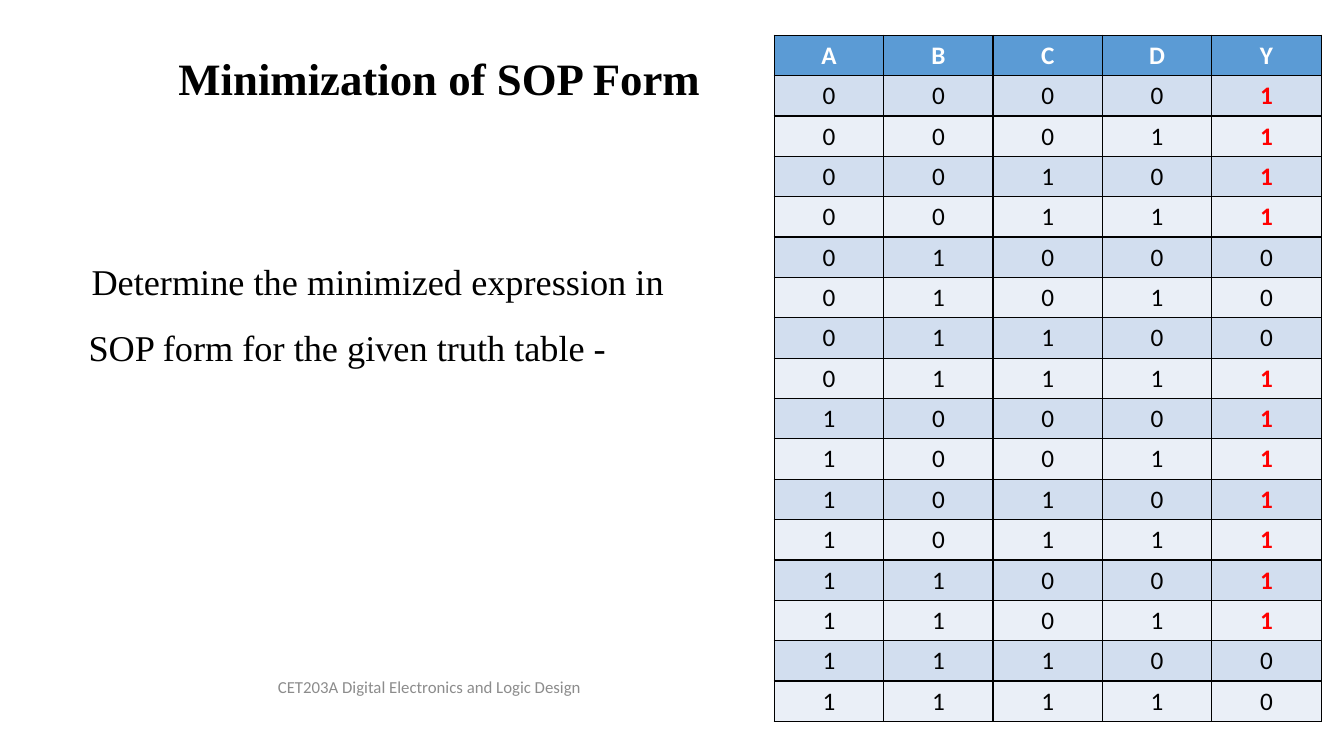
from lxml.etree import SubElement
from pptx import Presentation
from pptx.dml.color import RGBColor
from pptx.enum.text import MSO_ANCHOR, PP_ALIGN
from pptx.oxml.ns import qn
from pptx.util import Inches, Pt

TITLE = "Minimization of SOP Form"
QUESTION = "Determine the minimized expression in SOP form for the given truth table -"
FOOTER = "CET203A Digital Electronics and Logic Design"
VARIABLES = ["A", "B", "C", "D"]
OUTPUTS = "1111000111111100"

COLORS = {
    "black": "000000",
    "gray": "8C8C8C",
    "white": "FFFFFF",
    "red": "FF0000",
    "header": "5B9BD5",
    "odd_row": "D2DEEF",
    "even_row": "EAEFF7",
}
HEADING = {"size": Pt(32), "name": "Times New Roman", "bold": True}
BODY = {"size": Pt(25.9), "name": "Times New Roman", "bold": False}
SMALL = {"size": Pt(12), "name": "Calibri", "bold": False}
CELL = {"size": Pt(18), "name": "Calibri", "bold": False}

TABLE_LEFT, TABLE_TOP = 7.68, 0.35
COLUMN_WIDTH, ROW_HEIGHT = 1.085, 0.4


def color(name):
    return RGBColor.from_string(COLORS[name])


def set_attributes(target, values):
    for name, value in values.items():
        setattr(target, name, value)


def write(frame, text, font, color_name, paragraph_format):
    frame.text = text
    paragraph = frame.paragraphs[0]
    set_attributes(paragraph, paragraph_format)
    set_attributes(paragraph.font, font)
    paragraph.font.color.rgb = color(color_name)
    return paragraph


def place(shape, left, top, width, height, anchor):
    box = {"left": left, "top": top, "width": width, "height": height}
    set_attributes(shape, {name: Inches(value) for name, value in box.items()})
    set_attributes(shape.text_frame, {"word_wrap": True, "vertical_anchor": anchor})
    return shape.text_frame


def add_borders(cell):
    properties = cell._tc.get_or_add_tcPr()
    for position, side in enumerate(("a:lnL", "a:lnR", "a:lnT", "a:lnB")):
        line = properties.makeelement(qn(side), {"w": str(Pt(1))})
        fill = SubElement(line, qn("a:solidFill"))
        SubElement(fill, qn("a:srgbClr"), val=COLORS["black"])
        properties.insert(position, line)


def add_truth_table(slide):
    rows = [VARIABLES + ["Y"]]
    for number, output in enumerate(OUTPUTS):
        rows.append([*format(number, f"0{len(VARIABLES)}b"), output])
    column_count = len(rows[0])
    table = slide.shapes.add_table(
        len(rows), column_count,
        Inches(TABLE_LEFT), Inches(TABLE_TOP),
        Inches(COLUMN_WIDTH * column_count), Inches(ROW_HEIGHT * len(rows)),
    ).table
    for row_index, values in enumerate(rows):
        is_header = row_index == 0
        fill = "header" if is_header else "odd_row" if row_index % 2 else "even_row"
        for column_index, value in enumerate(values):
            is_true_output = column_index == column_count - 1 and value == "1"
            text_color = "white" if is_header else "red" if is_true_output else "black"
            cell = table.cell(row_index, column_index)
            cell.fill.solid()
            cell.fill.fore_color.rgb = color(fill)
            cell.margin_left = cell.margin_right = Inches(0.13)
            font = {**CELL, "bold": is_header or is_true_output}
            write(cell.text_frame, value, font, text_color, {"alignment": PP_ALIGN.CENTER})
            add_borders(cell)


def main():
    presentation = Presentation()
    presentation.slide_width = Inches(13.33)
    presentation.slide_height = Inches(7.5)
    slide = presentation.slides.add_slide(presentation.slide_layouts[5])

    frame = place(slide.shapes.title, 1.67, 0.33, 5.63, 0.95, MSO_ANCHOR.MIDDLE)
    write(frame, TITLE, HEADING, "black",
          {"alignment": PP_ALIGN.LEFT, "line_spacing": 0.9})

    question = slide.shapes.add_textbox(0, 0, 0, 0)
    frame = place(question, 0.53, 2.31, 6.16, 2.04, MSO_ANCHOR.TOP)
    paragraph = write(frame, QUESTION, BODY, "black",
                      {"alignment": PP_ALIGN.JUSTIFY, "line_spacing": 1.5})
    indents = {"marL": Inches(0.25), "indent": Inches(0.03)}
    for name, value in indents.items():
        paragraph._p.get_or_add_pPr().set(name, str(value))

    footer = slide.shapes.add_textbox(0, 0, 0, 0)
    frame = place(footer, 0.89, 6.61, 6.74, 0.4, MSO_ANCHOR.MIDDLE)
    write(frame, FOOTER, SMALL, "gray", {"alignment": PP_ALIGN.CENTER})

    add_truth_table(slide)
    presentation.save("out.pptx")


if __name__ == "__main__":
    main()
